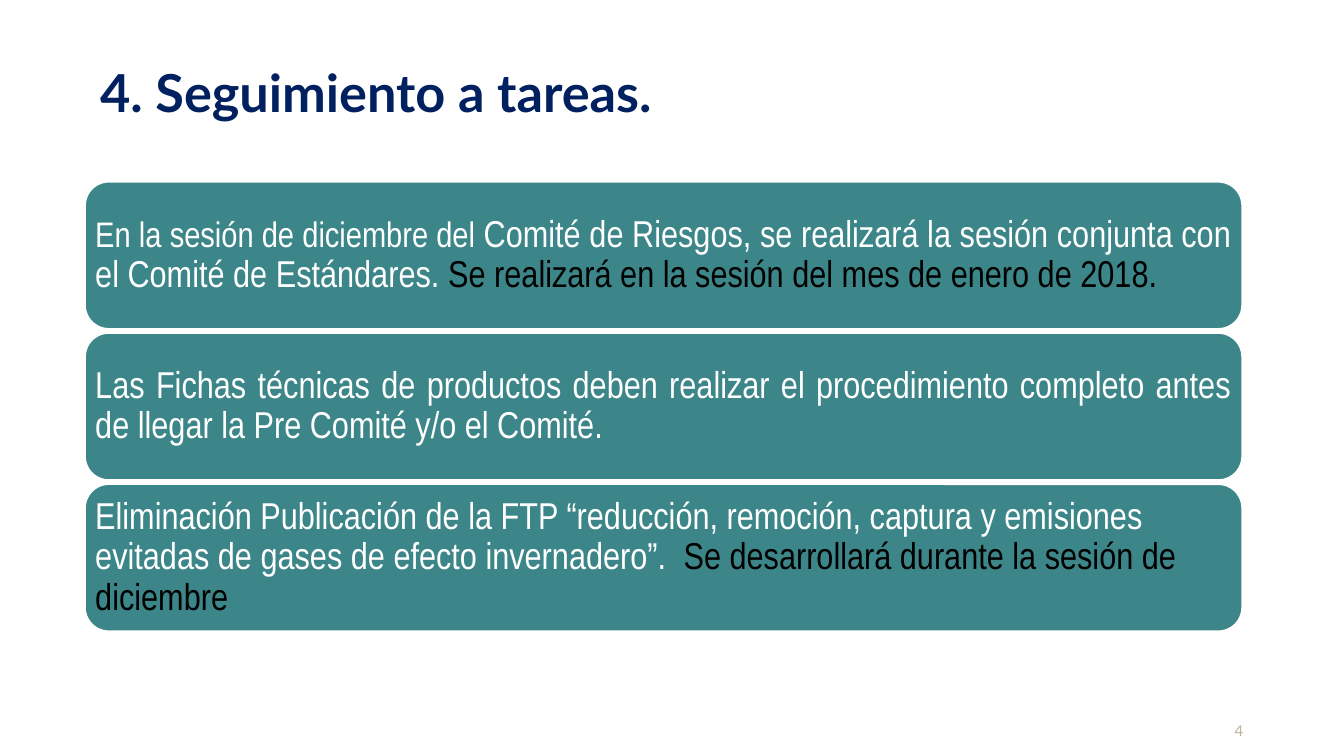
from pptx import Presentation
from pptx.dml.color import RGBColor
from pptx.enum.shapes import MSO_SHAPE
from pptx.enum.text import MSO_ANCHOR, PP_ALIGN
from pptx.util import Emu, Pt

PX = 4572
ROUNDED = MSO_SHAPE.ROUNDED_RECTANGLE
TOP, MIDDLE, BOTTOM = MSO_ANCHOR.TOP, MSO_ANCHOR.MIDDLE, MSO_ANCHOR.BOTTOM
LEFT, RIGHT, JUSTIFY = PP_ALIGN.LEFT, PP_ALIGN.RIGHT, PP_ALIGN.JUSTIFY

WHITE, BLACK, TEAL = "FFFFFF", "000000", "3C8689"
NAVY, SAND = "002060", "BCB296"
HEADING_FONT, BODY_FONT = "Lato", "Arial Narrow"

CARD_LEFT, CARD_TOP, CARD_WIDTH, CARD_HEIGHT = 125, 269, 1725, 222
CARD_STEP, CARD_INSET = 225, 6

TASKS = [
    (JUSTIFY, [
        ("En la sesión de diciembre del ", 19, WHITE),
        ("Comité de Riesgos, se realizará la sesión conjunta con el "
         "Comité de Estándares. ", 20, WHITE),
        ("Se realizará en la sesión del mes de enero de 2018.", 20, BLACK),
    ]),
    (JUSTIFY, [
        ("Las Fichas técnicas de productos deben realizar el procedimiento "
         "completo antes de llegar la Pre Comité y/o el Comité.", 20, WHITE),
    ]),
    (LEFT, [
        ("Eliminación Publicación de la FTP “reducción, remoción, captura y "
         "emisiones evitadas de gases de efecto invernadero”.  ", 20, WHITE),
        ("Se desarrollará durante la sesión de diciembre", 20, BLACK),
    ]),
]


def px(length):
    """Turn a length in px into EMU."""
    return Emu(length * PX)


def color(value):
    """Turn a hex string into a colour."""
    return RGBColor.from_string(value)


def set_text(shape, spans, font, align, anchor, spacing, inset=0, bold=False):
    """Fill a shape with one paragraph of (text, size, colour) spans."""
    frame = shape.text_frame
    frame.word_wrap = True
    frame.vertical_anchor = anchor
    frame.margin_left = frame.margin_right = px(inset)
    frame.margin_top = frame.margin_bottom = px(inset)
    paragraph = frame.paragraphs[0]
    paragraph.alignment = align
    paragraph.line_spacing = spacing
    for text, size, ink in spans:
        span = paragraph.add_run()
        span.text = text
        span.font.name = font
        span.font.size = Pt(size)
        span.font.bold = bold
        span.font.color.rgb = color(ink)


def add_label(page, bounds, span, align, anchor, spacing, bold=False):
    """Add a text box holding one span in the heading font."""
    box = page.shapes.add_textbox(*map(px, bounds))
    set_text(box, [span], HEADING_FONT, align, anchor, spacing, bold=bold)


def add_task_card(page, top, align, spans):
    """Add a rounded card that describes one task."""
    bounds = (CARD_LEFT, top, CARD_WIDTH, CARD_HEIGHT)
    card = page.shapes.add_shape(ROUNDED, *map(px, bounds))
    card.shadow.inherit = False
    card.fill.solid()
    card.fill.fore_color.rgb = color(TEAL)
    card.line.color.rgb = color(WHITE)
    card.line.width = Pt(2)
    set_text(card, spans, BODY_FONT, align, MIDDLE, 0.9, CARD_INSET)


def main():
    """Build the task follow-up slide."""
    deck = Presentation()
    deck.slide_width, deck.slide_height = px(2000), px(1125)
    page = deck.slides.add_slide(deck.slide_layouts[6])
    add_label(page, (1786, 1075, 64, 26), ("4", 8, SAND), RIGHT, BOTTOM, 1.0)
    add_label(page, (149, 71, 1162, 102),
              ("4. Seguimiento a tareas.", 28, NAVY), LEFT, TOP, 1.2, bold=True)
    for index, (align, spans) in enumerate(TASKS):
        add_task_card(page, CARD_TOP + index * CARD_STEP, align, spans)
    deck.save("out.pptx")


if __name__ == "__main__":
    main()
